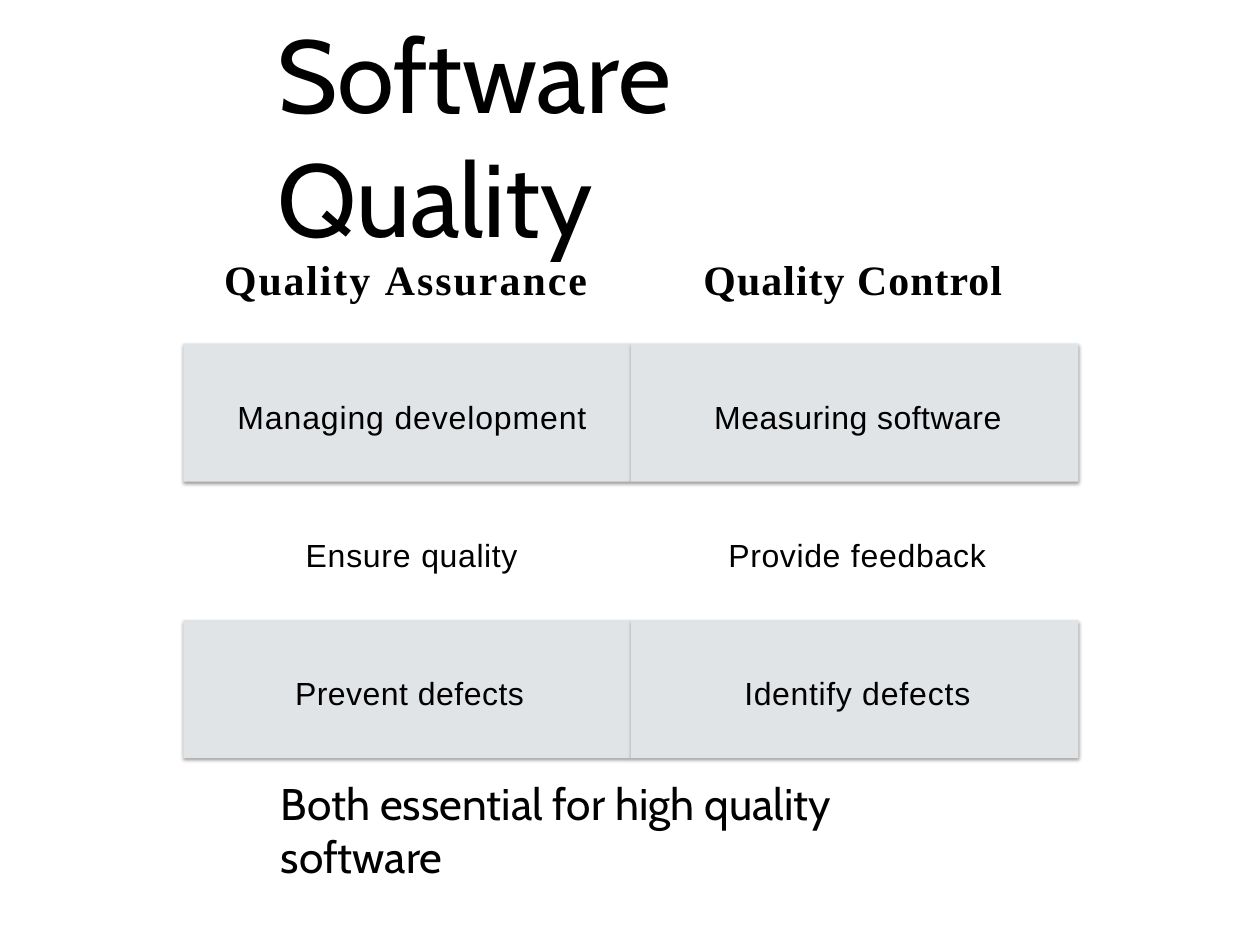
"""Build the Software Quality slide comparing quality assurance with quality control."""
import pptx
import pptx.dml.color
import pptx.enum.shapes
import pptx.enum.text
import pptx.oxml
import pptx.oxml.ns
import pptx.util
from pptx.util import Inches

COLOURS = {"text": "000000", "band": "E1E4E7", "shadow": "000000"}
FORMATS = {
    "title": {"name": "Cabin", "size": pptx.util.Pt(84), "bold": False},
    "heading": {"name": "Times New Roman", "size": pptx.util.Pt(34), "bold": True},
    "row": {"name": "Arial", "size": pptx.util.Pt(26), "bold": False},
    "summary": {"name": "Cabin", "size": pptx.util.Pt(36), "bold": False},
}
GRID_LEFT, GRID_TOP = 2.07, 3.88
CELL_WIDTH, CELL_HEIGHT = 5.05, 1.56
ROW_TEXT_OFFSET = 0.61

ROWS = [
    (2.68, 8.69, 5.38, [("Managing development\t", 0.7), ("Measuring software", 0.4)]),
    (3.45, 7.75, 4.77, [("Ensure ", 0.6), ("quality\tProvide ", 0.5), ("feedback", 0.6)]),
    (3.33, 7.69, 5.07, [("Prevent defects\t", 0.4), ("Identify ", 0.5), ("defects", 0.7)]),
]


def rgb(role):
    return pptx.dml.color.RGBColor.from_string(COLOURS[role])


def add_shadow(cell):
    cell.shadow.inherit = False
    effects = cell._element.spPr.find(pptx.oxml.ns.qn("a:effectLst"))
    effects.append(pptx.oxml.parse_xml(
        f'<a:outerShdw {pptx.oxml.ns.nsdecls("a")} blurRad="{pptx.util.Pt(3.1)}" '
        f'dist="{pptx.util.Pt(1.6)}" dir="5400000" rotWithShape="0">'
        f'<a:srgbClr val="{COLOURS["shadow"]}"><a:alpha val="38000"/></a:srgbClr>'
        '</a:outerShdw>'))


def add_band_cell(slide, row, column):
    cell = slide.shapes.add_shape(
        pptx.enum.shapes.MSO_SHAPE.RECTANGLE,
        Inches(GRID_LEFT + column * CELL_WIDTH), Inches(GRID_TOP + row * CELL_HEIGHT),
        Inches(CELL_WIDTH), Inches(CELL_HEIGHT))
    cell.fill.solid()
    cell.fill.fore_color.rgb = rgb("band")
    cell.line.fill.background()
    add_shadow(cell)


def add_tab_stop(paragraph, position):
    paragraph._p.get_or_add_pPr().append(pptx.oxml.parse_xml(
        f'<a:tabLst {pptx.oxml.ns.nsdecls("a")}>'
        f'<a:tab pos="{Inches(position)}" algn="l"/></a:tabLst>'))


def add_text(slide, role, bounds, pieces, tab=None):
    textbox = slide.shapes.add_textbox(*map(Inches, bounds))
    frame = textbox.text_frame
    frame_format = {
        "word_wrap": True,
        "auto_size": pptx.enum.text.MSO_AUTO_SIZE.SHAPE_TO_FIT_TEXT,
        "margin_left": 0, "margin_top": 0, "margin_right": 0, "margin_bottom": 0,
    }
    for attribute, value in frame_format.items():
        setattr(frame, attribute, value)
    paragraph = frame.paragraphs[0]
    if tab is not None:
        add_tab_stop(paragraph, tab)
    for wording, spacing in pieces:
        run = paragraph.add_run()
        run.text = wording
        for attribute, value in FORMATS[role].items():
            setattr(run.font, attribute, value)
        run.font.color.rgb = rgb("text")
        run._r.get_or_add_rPr().set("spc", str(round(spacing * 100)))


def main():
    presentation = pptx.Presentation()
    presentation.slide_width = Inches(14.22)
    presentation.slide_height = Inches(10.67)
    slide = presentation.slides.add_slide(presentation.slide_layouts[6])

    for row in (0, 2):
        for column in (0, 1):
            add_band_cell(slide, row, column)

    add_text(slide, "title", (3.13, 0.12, 8.11, 2.8), [("Software Quality", -0.1)])
    add_text(slide, "heading", (2.53, 2.87, 8.96, 0.57),
             [("Quality ", 1.6), ("Assurance\t", 1.7), ("Quality Control", 0.9)], tab=5.41)
    for row, (left, width, tab, pieces) in enumerate(ROWS):
        top = GRID_TOP + row * CELL_HEIGHT + ROW_TEXT_OFFSET
        add_text(slide, "row", (left, top, width, 0.87), pieces, tab)
    add_text(slide, "summary", (3.17, 8.76, 8.02, 1.2),
             [("Both essential for high quality software", 0)])

    presentation.save("out.pptx")


if __name__ == "__main__":
    main()
